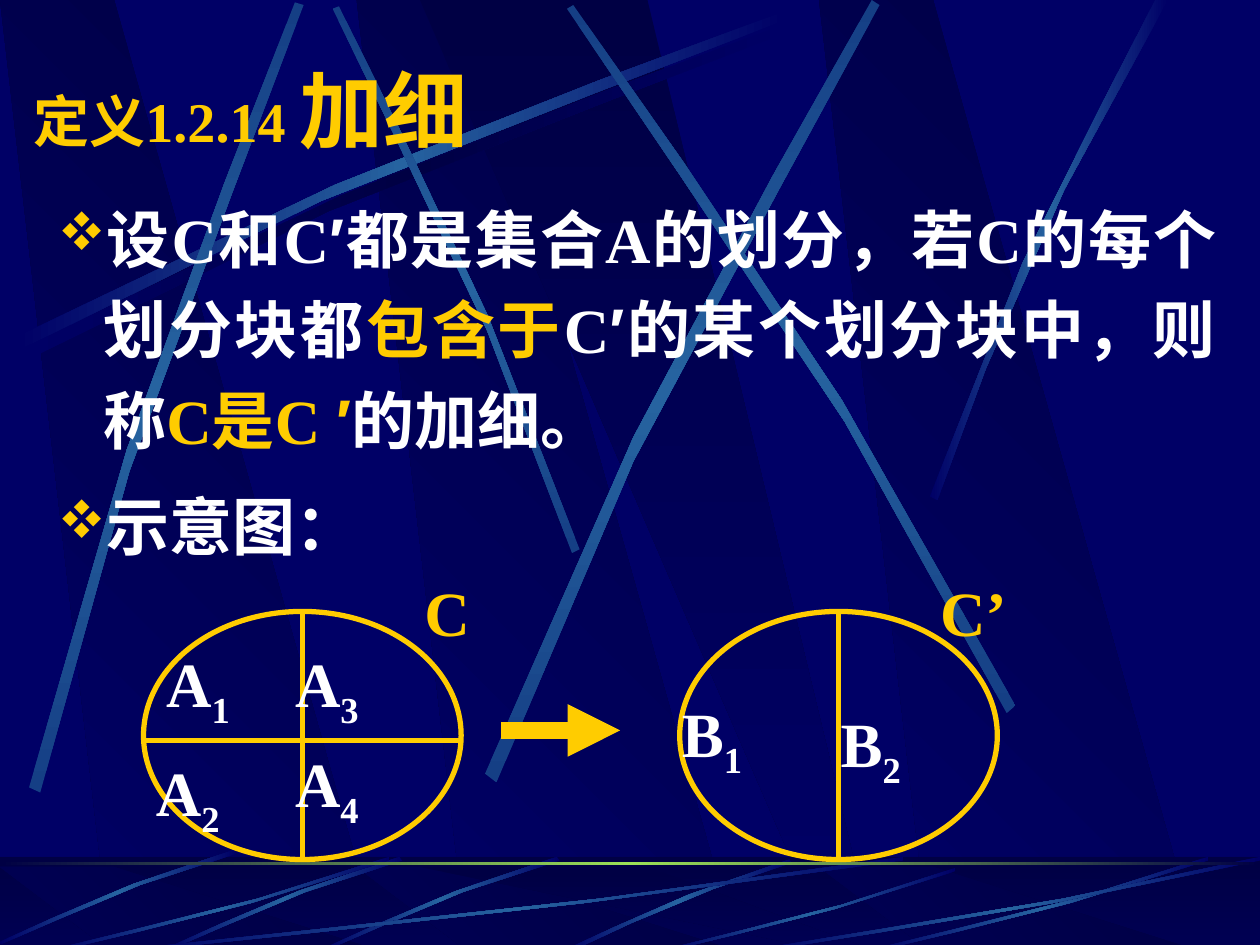
from dataclasses import dataclass

from lxml import etree
from pptx import Presentation, util as u
from pptx.dml.color import RGBColor
from pptx.enum import shapes, text
from pptx.oxml import ns


@dataclass(frozen=True)
class Theme:
    navy: str = "000066"
    dark: str = "000044"
    beam: str = "2663A0"
    beam_end: str = "153F85"
    glow: str = "9CE157"
    gold: str = "FFCC00"
    white: str = "FFFFFF"
    serif: str = "Times New Roman"
    sans: str = "Arial"
    term: int = 32
    title: int = 48
    body: int = 36


def sub(parent, tag, **attrs):
    return etree.SubElement(parent, ns.qn(tag), attrs)


def fit(points, x, y, w, h):
    return [(x + px * w, y + py * h) for px, py in points]


def shift(points, dx, dy):
    return fit(points, dx, dy, 1, 1)


def curve(a, b, c, d, steps=3):
    result = []
    for i in range(steps + 1):
        t = i / steps
        k = ((1 - t) ** 3, 3 * t * (1 - t) ** 2, 3 * t * t * (1 - t), t ** 3)
        result.append(tuple(sum(m * p[axis] for m, p in zip(k, (a, b, c, d))) for axis in (0, 1)))
    return result


class Deck:
    """Draws styled elements on the current slide, measured in points."""

    def __init__(self, theme):
        self.t = theme
        self.prs = Presentation()
        self.prs.slide_width, self.prs.slide_height = u.Pt(720), u.Pt(540)
        self.s = self.prs.slides.add_slide(self.prs.slide_layouts[6])
        self.s.background.fill.solid()
        self.s.background.fill.fore_color.rgb = RGBColor.from_string(theme.navy)

    def move_to_master(self):
        tree = self.prs.slide_master.shapes._spTree
        for sp in list(self.s.shapes):
            tree.append(sp._element)

    def gradient(self, sp, colors, angle):
        sp.shadow.inherit = False
        sp.line.fill.background()
        sp.fill.gradient()
        grad = sp.fill._fill._gradFill
        for child in list(grad):
            grad.remove(child)
        stops = sub(grad, "a:gsLst")
        for i, color in enumerate(colors):
            stop = sub(stops, "a:gs", pos=str(100000 * i // (len(colors) - 1)))
            sub(stop, "a:srgbClr", val=color)
        sub(grad, "a:lin", ang=str(angle * 60000), scaled="0")

    def shape(self, kind, x, y, w, h):
        sp = self.s.shapes.add_shape(kind, *map(u.Pt, (x, y, w, h)))
        sp.shadow.inherit = False
        return sp

    def bar(self, y, h, colors, angle):
        self.gradient(self.shape(shapes.MSO_SHAPE.RECTANGLE, 0, y, 720, h), colors, angle)

    def veil(self, y, h):
        sp = self.shape(shapes.MSO_SHAPE.RECTANGLE, 0, y, 720, h)
        sp.line.fill.background()
        sp.fill.solid()
        sp.fill.fore_color.rgb = RGBColor.from_string(self.t.dark)
        sub(sp.fill._fill._solidFill[0], "a:alpha", val="50000")

    def polygon(self, points, colors, angle):
        points = [(u.Pt(x), u.Pt(y)) for x, y in points]
        builder = self.s.shapes.build_freeform(*points[0], scale=1.0)
        builder.add_line_segments(points[1:], close=True)
        self.gradient(builder.convert_to_shape(), colors, angle)

    def streak(self, points, end, mid, angle=0):
        self.polygon(curve(*points[:4]) + curve(*points[4:]), (end, mid, end), angle)

    def ellipse(self, x, y, w, h):
        sp = self.shape(shapes.MSO_SHAPE.OVAL, x, y, w, h)
        sp.fill.background()
        sp.line.color.rgb = RGBColor.from_string(self.t.gold)
        sp.line.width = u.Pt(3)

    def line(self, x1, y1, x2, y2, width=3, arrow=False):
        ln = self.s.shapes.add_connector(shapes.MSO_CONNECTOR.STRAIGHT, *map(u.Pt, (x1, y1, x2, y2)))
        ln.line.color.rgb = RGBColor.from_string(self.t.gold)
        ln.line.width = u.Pt(width)
        if arrow:
            sub(ln.line._ln, "a:tailEnd", type="triangle")
        sub(ln._element.spPr, "a:effectLst")

    def textbox(self, x, y, w, h, anchor=text.MSO_ANCHOR.TOP):
        tf = self.s.shapes.add_textbox(*map(u.Pt, (x, y, w, h))).text_frame
        tf.word_wrap = True
        tf.vertical_anchor = anchor
        return tf

    def run(self, p, words, color, size=None, font=None):
        r = p.add_run()
        r.text = words
        r.font.size, r.font.name, r.font.bold = u.Pt(size or self.t.body), font or self.t.serif, True
        r.font.color.rgb = RGBColor.from_string(color)
        return r

    def title(self, term, name):
        p = self.textbox(12, 29.7, 684, 64.8, text.MSO_ANCHOR.MIDDLE).paragraphs[0]
        self.run(p, term, self.t.gold, self.t.term)
        self.run(p, name, self.t.gold, self.t.title)

    def bullets(self, items):
        tf = self.textbox(18, 102.2, 684, 401.8)
        for i, runs in enumerate(items):
            p = tf.add_paragraph() if i else tf.paragraphs[0]
            p.alignment, p.line_spacing = text.PP_ALIGN.JUSTIFY, 1.2
            if i:
                p.space_before = u.Pt(9)
            pPr = p._p.get_or_add_pPr()
            pPr.set("marL", str(u.Pt(34)))
            pPr.set("indent", str(-u.Pt(26)))
            pPr.set("hangingPunct", "0")
            sub(sub(pPr, "a:buClr"), "a:srgbClr", val=self.t.gold)
            sub(pPr, "a:buSzPct", val="85000")
            sub(pPr, "a:buFont", typeface="Wingdings", charset="2")
            sub(pPr, "a:buChar", char="v")
            for words, color in runs:
                self.run(p, words, color, font=self.t.sans if words == "′" else None)

    def label(self, x, y, w, h, words, color, index=""):
        p = self.textbox(x, y, w, h).paragraphs[0]
        p.line_spacing = 1.2
        self.run(p, words, color)
        if index:
            r = self.run(p, index, color)
            r.font._element.set("baseline", "-25000")


BAND = [(0.29, 1), (1, 1), (0.3, 0), (0, 0)]
WEDGE = [(0, 0), (0.9, 1), (1, 1), (0.5, 0)]
SWEEP = [(14.4, 198), (204.5, 96.5), (377.3, 42.5), (450.7, 13),
         (452.9, 17.3), (380.2, 49.7), (182.9, 108.7), (16.6, 205.2)]
STEEP = [
    [(331.2, 313.9), (281.5, 168.5), (217.4, 55.4), (193.7, 3.6),
     (190.1, 5), (212.4, 56.9), (286.6, 185.8), (326.9, 316.1)],
    [(16.6, 450), (67, 240.5), (141.8, 75.6), (168.5, 1.4),
     (173.5, 2.9), (149, 78.5), (61.9, 265), (23, 452.9)],
    [(277.2, 442.1), (358.6, 230.4), (459.4, 73.4), (498.2, 0),
     (502.6, 2.9), (467.3, 77.8), (349.9, 255.6), (283.7, 447.1)],
    [(580.3, 403.2), (482.4, 211), (371.5, 68.4), (327.6, 2.9),
     (324, 5), (365, 72.7), (493.2, 234), (575.3, 407.5)],
]
FADING = [(531.4, 283.7), (586.1, 124.6), (639.4, 47.5), (660.2, 0),
          (667.4, 0), (601.9, 104.4), (553.7, 231.8), (535.7, 285.8)]
FLOOR = [(451.4, 491), (386.6, 510.5), (343.4, 534.2), (322.6, 542.9),
         (326.2, 543.6), (352.8, 530.6), (411.1, 504), (452.2, 493.2)]
FLOOR_THIN = [(318.2, 489.6), (255.6, 507.6), (206.6, 532.8), (184.3, 542.2),
              (185, 543.6), (207.4, 535), (262.8, 506.2), (319.7, 491.8)]
FLAT = [(1, 0.04), (0.57, 0.57), (0.17, 0.85), (0.01, 1),
        (0, 0.98), (0.17, 0.81), (0.62, 0.51), (1, 0)]


def backdrop(d):
    t = d.t
    shade = (t.dark, t.navy)

    def panels(y, h):
        for x in (203.8, 0, 468):
            d.polygon(fit(BAND, x, y, 217.5, h), shade, 135)
        d.polygon(fit(WEDGE, 240, y, 260, h), shade, 90)

    panels(0, 541.5)
    d.streak(SWEEP, t.navy, t.dark)
    d.streak(shift(SWEEP, -4.3, -5.8), t.navy, t.beam)
    for points in STEEP:
        d.streak(points, t.beam_end, t.beam, 90)
    d.streak(FADING, t.navy, t.beam)
    d.bar(489.6, 54, shade, 90)
    panels(495.4, 48)
    d.veil(489.6, 54)
    d.streak(FLOOR, t.navy, t.beam)
    for dx, dy in ((0, 0), (-90, 0), (-184.5, -4)):
        d.streak(shift(FLOOR_THIN, dx, dy), t.navy, t.beam)
    for x, y, w in ((72, 489.6, 444.2), (30.2, 489.6, 192.2), (379.4, 496, 166.3),
                    (498.2, 489.6, 192.2), (432, 489.6, 288)):
        d.streak(fit(FLAT, x, y, w, 543.6 - y), t.navy, t.beam)
    d.bar(492.4, 1.8, (t.dark, t.glow, t.dark), 0)
    d.move_to_master()


def diagram(d):
    left, right, top, w, h = 82, 388.4, 349.4, 181.5, 141.8
    for x in (left, right):
        d.ellipse(x, top, w, h)
        d.line(x + w / 2, top, x + w / 2, top + h)
    d.line(left, 423.2, left + w, 423.2)
    d.line(286.5, 417.4, 354.4, 417.4, 10, arrow=True)
    d.label(235.4, 315.4, 67.7, 59, "C", d.t.gold)
    d.label(530.2, 315.4, 90.7, 59, "C’", d.t.gold)
    for x, y, words, index in ((87.8, 355, "A", "1"), (82, 417.2, "A", "2"), (161.5, 355, "A", "3"),
                               (161.5, 412.2, "A", "4"), (382.5, 383.4, "B", "1"), (473.3, 389.2, "B", "2")):
        d.label(x, y, 102.2, 66.2, words, d.t.white, index)


def main():
    d = Deck(Theme())
    gold, white = d.t.gold, d.t.white
    backdrop(d)
    d.title("定义1.2.14 ", "加细")
    d.bullets([
        [("设C和C", white), ("′", white), ("都是集合A的划分，若C的每个划分块都", white),
         ("包含于", gold), ("C", white), ("′", white), ("的某个划分块中，则称", white),
         ("C是C ", gold), ("′", gold), ("的加细。", white)],
        [("示意图：", white)],
    ])
    diagram(d)
    d.prs.save("out.pptx")


if __name__ == "__main__":
    main()
